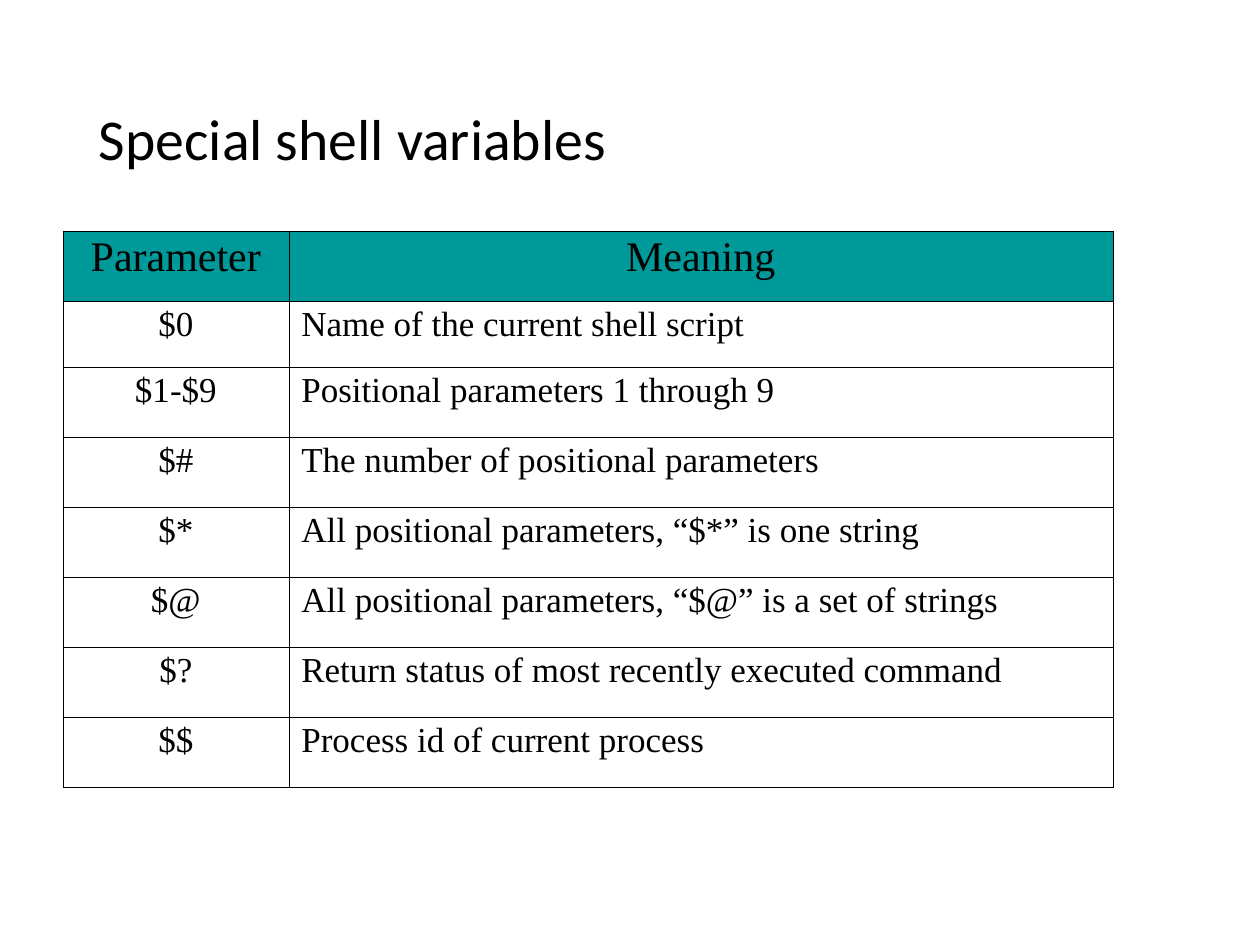
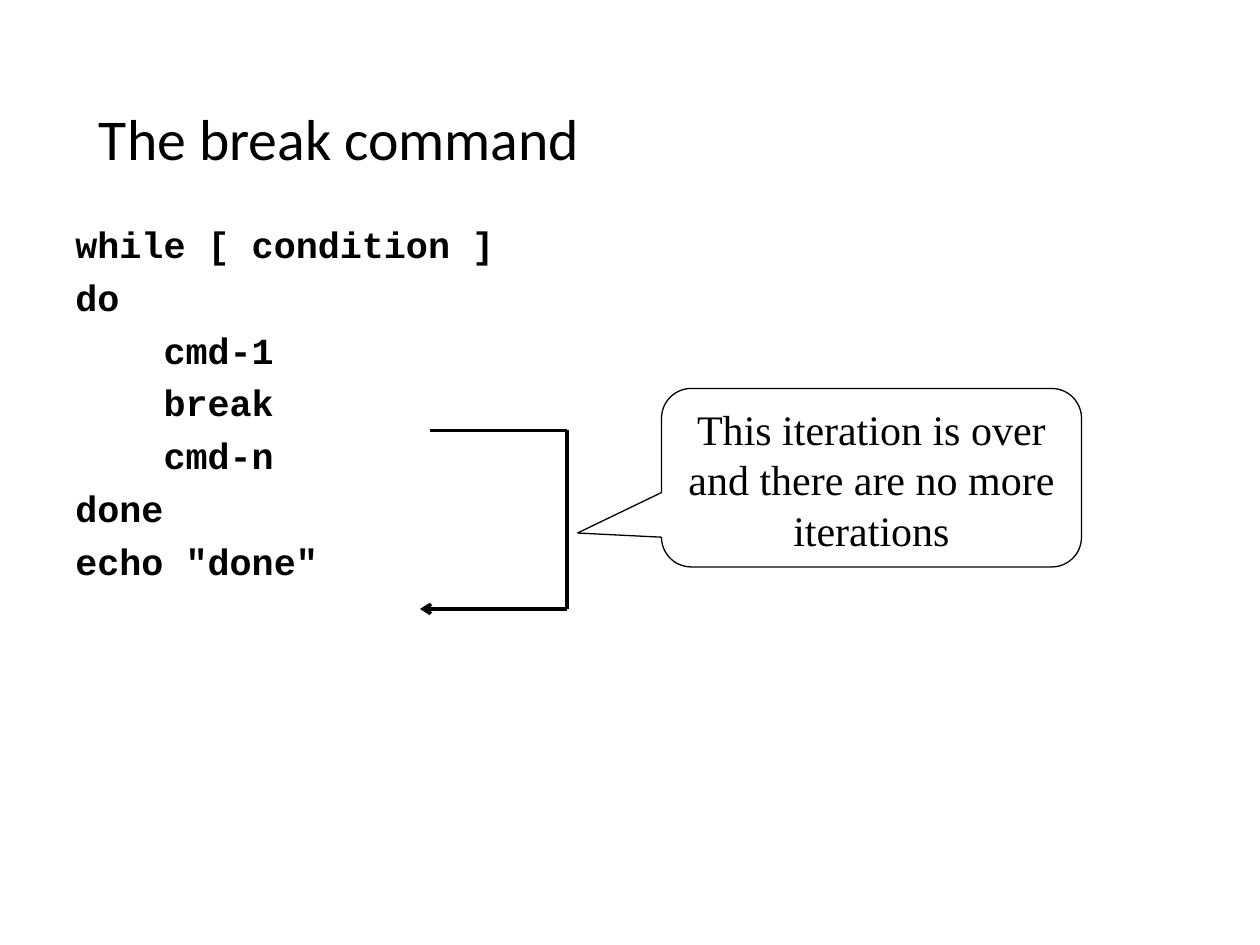
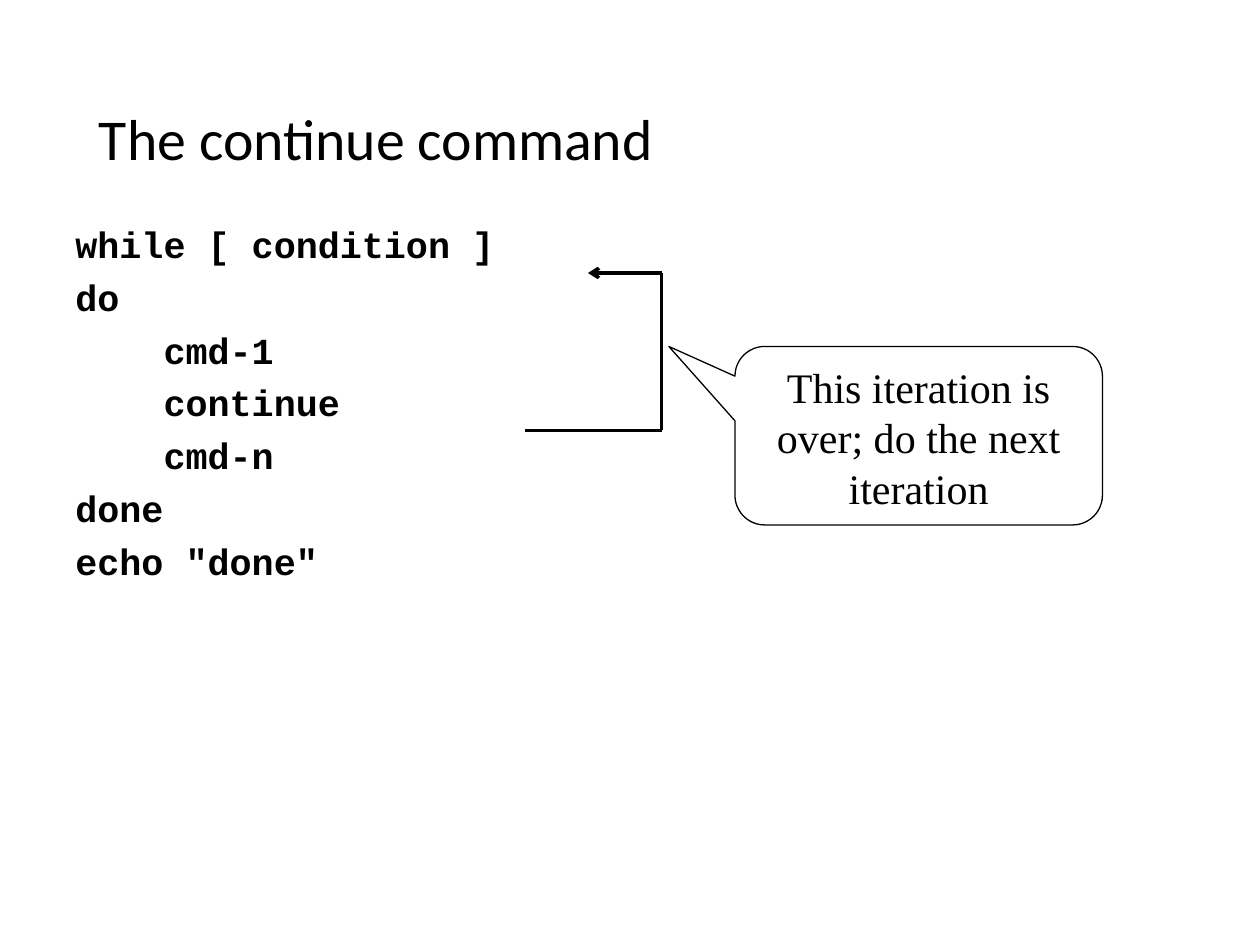
from dataclasses import dataclass
from itertools import pairwise

from lxml.etree import SubElement
from pptx import Presentation
from pptx.dml.color import RGBColor
from pptx.enum.shapes import MSO_CONNECTOR, MSO_SHAPE
from pptx.enum.text import MSO_ANCHOR, PP_ALIGN
from pptx.oxml.ns import qn
from pptx.util import Inches, Pt


@dataclass(frozen=True)
class Theme:
    ink: RGBColor = RGBColor(0x00, 0x00, 0x00)
    header: RGBColor = RGBColor(0x00, 0x99, 0x99)
    title_font: str = "Calibri"
    code_font: str = "Courier New"
    body_font: str = "Times New Roman"
    title_size: float = 33
    code_size: float = 21
    large_size: float = 24
    body_size: float = 20
    outer_border: float = 0.5
    inner_border: float = 0.23
    callout_line: float = 0.75
    arrow_line: float = 2


THEME = Theme()
SLIDE_WIDTH, SLIDE_HEIGHT = Inches(10), Inches(7.5)
# The slide is a grid of 120 columns by 90 rows
UNIT = SLIDE_WIDTH / 120

TITLE_AREA = (8.25, 4.8, 103.5, 17.4)
CODE_AREA = (6, 21, 98, 64)
TABLE_AREA = (6, 22, 100, 53)
TABLE_COLUMNS = (21.5, 78.5)
TABLE_ROWS = (6.67, 6.33) + (6.67,) * 6

VARIABLES = [
    ("Parameter", "Meaning"),
    ("$0", "Name of the current shell script"),
    ("$1-$9", "Positional parameters 1 through 9"),
    ("$#", "The number of positional parameters"),
    ("$*", "All positional parameters, “$*” is one string"),
    ("$@", "All positional parameters, “$@” is a set of strings"),
    ("$?", "Return status of most recently executed command"),
    ("$$", "Process id of current process"),
]


def grid(*lengths):
    return [round(length * UNIT) for length in lengths]


def style(paragraph, font, size, bold=False, align=PP_ALIGN.LEFT, spacing=None):
    paragraph.alignment = align
    paragraph.line_spacing = spacing
    paragraph.font.name = font
    paragraph.font.size = Pt(size)
    paragraph.font.bold = bold
    paragraph.font.color.rgb = THEME.ink


# Slide frame and text
def add_titled_page(deck, title):
    page = deck.slides.add_slide(deck.slide_layouts[6])
    frame = page.shapes.add_textbox(*grid(*TITLE_AREA)).text_frame
    frame.word_wrap = True
    frame.vertical_anchor = MSO_ANCHOR.MIDDLE
    frame.text = title
    style(frame.paragraphs[0], THEME.title_font, THEME.title_size, spacing=0.9)
    return page


def add_loop_code(page, command):
    lines = ["while [ condition ]", "do", "    cmd-1", f"    {command}",
             "    cmd-n", "done", 'echo "done"']
    frame = page.shapes.add_textbox(*grid(*CODE_AREA)).text_frame
    frame.word_wrap = True
    frame.text = "\n".join(lines)
    for index, paragraph in enumerate(frame.paragraphs):
        style(paragraph, THEME.code_font, THEME.code_size, bold=True, spacing=0.9)
        if index:
            paragraph.space_before = Pt(7.5)


# Table
def add_border(cell, side, width):
    line = SubElement(cell._tc.get_or_add_tcPr(), qn(f"a:{side}"), w=str(Pt(width)))
    fill = SubElement(line, qn("a:solidFill"))
    SubElement(fill, qn("a:srgbClr"), val=str(THEME.ink))


def add_variable_table(page, rows):
    last_row, last_column = len(rows) - 1, len(rows[0]) - 1
    table = page.shapes.add_table(len(rows), len(rows[0]), *grid(*TABLE_AREA)).table
    table.first_row = table.horz_banding = False
    for column, width in zip(table.columns, grid(*TABLE_COLUMNS)):
        column.width = width
    for row, height in zip(table.rows, grid(*TABLE_ROWS)):
        row.height = height

    for row, texts in enumerate(rows):
        for column, text in enumerate(texts):
            cell = table.cell(row, column)
            cell.text = text
            is_header = row == 0
            centered = is_header or column == 0
            style(cell.text_frame.paragraphs[0], THEME.body_font,
                  THEME.large_size if is_header else THEME.body_size,
                  align=PP_ALIGN.CENTER if centered else PP_ALIGN.LEFT, spacing=0.93)
            outer_sides = {"lnL": column == 0, "lnR": column == last_column,
                           "lnT": row == 0, "lnB": row == last_row}
            for side, is_outer in outer_sides.items():
                add_border(cell, side, THEME.outer_border if is_outer else THEME.inner_border)
            if is_header:
                cell.fill.solid()
                cell.fill.fore_color.rgb = THEME.header
            else:
                cell.fill.background()


# Jump arrow and its explanation
def add_jump_arrow(page, points):
    group = page.shapes.add_group_shape()
    for start, end in pairwise(points):
        line = group.shapes.add_connector(MSO_CONNECTOR.STRAIGHT, *grid(*start, *end))
        line.line.color.rgb = THEME.ink
        line.line.width = Pt(THEME.arrow_line)
        properties = line._element.spPr
        if end == points[-1]:
            SubElement(properties.find(qn("a:ln")), qn("a:tailEnd"), type="arrow")
        SubElement(properties, qn("a:effectLst"))


def add_callout(page, area, pointer, text):
    callout = page.shapes.add_shape(MSO_SHAPE.ROUNDED_RECTANGULAR_CALLOUT, *grid(*area))
    callout.shadow.inherit = False
    callout.fill.background()
    callout.line.color.rgb = THEME.ink
    callout.line.width = Pt(THEME.callout_line)
    callout.adjustments[0], callout.adjustments[1] = pointer
    frame = callout.text_frame
    frame.word_wrap = True
    frame.vertical_anchor = MSO_ANCHOR.TOP
    frame.text = text
    style(frame.paragraphs[0], THEME.body_font, THEME.large_size, align=PP_ALIGN.CENTER)


def main():
    deck = Presentation()
    deck.slide_width, deck.slide_height = SLIDE_WIDTH, SLIDE_HEIGHT

    # Special variables
    page = add_titled_page(deck, "Special shell variables")
    add_variable_table(page, VARIABLES)

    # Break leaves the loop
    page = add_titled_page(deck, "The break command")
    add_loop_code(page, "break")
    add_jump_arrow(page, [(41, 41), (54, 41), (54, 58), (40, 58)])
    add_callout(page, (63, 37, 40, 17), (-0.7, 0.31),
                "This iteration is over and there are no more iterations")

    # Continue returns to the condition
    page = add_titled_page(deck, "The continue command")
    add_loop_code(page, "continue")
    add_callout(page, (70, 33, 35, 17), (-0.68, -0.5),
                "This iteration is over; do the next iteration")
    add_jump_arrow(page, [(50, 41), (63, 41), (63, 26), (56, 26)])

    deck.save("out.pptx")


if __name__ == "__main__":
    main()
